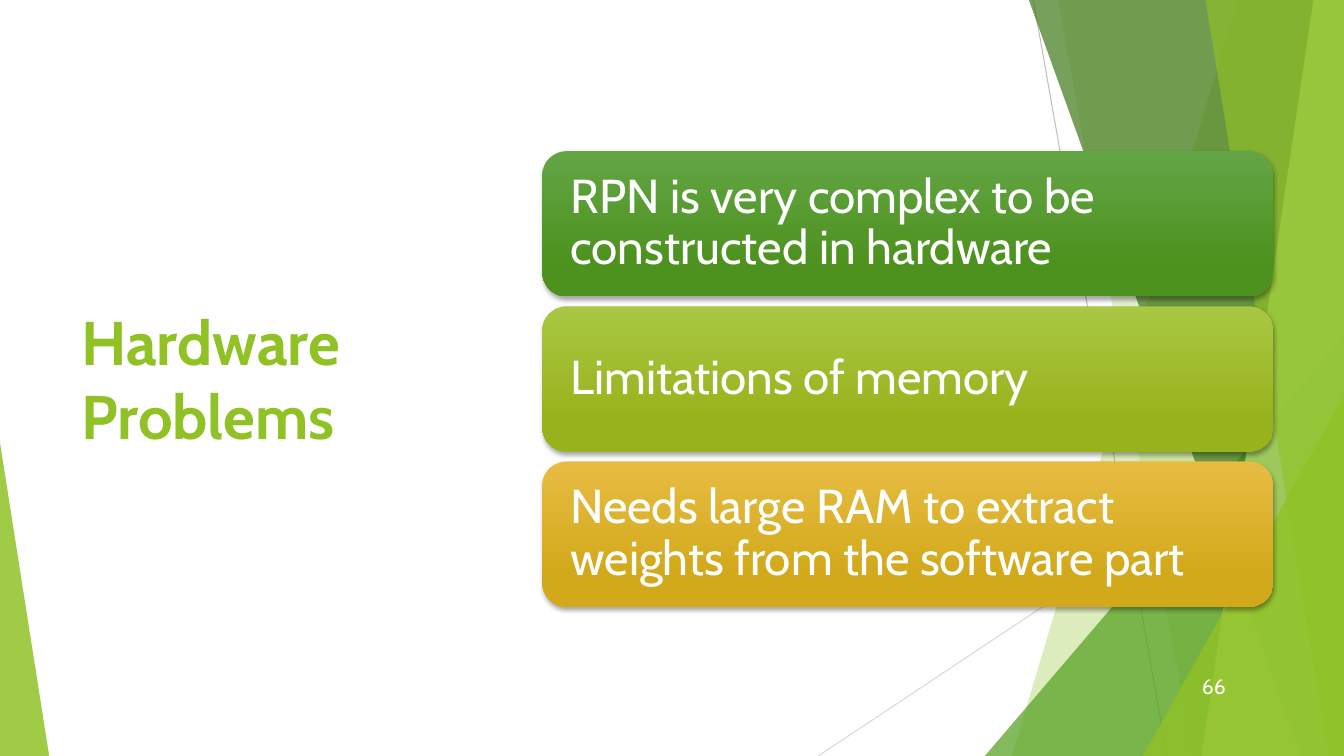
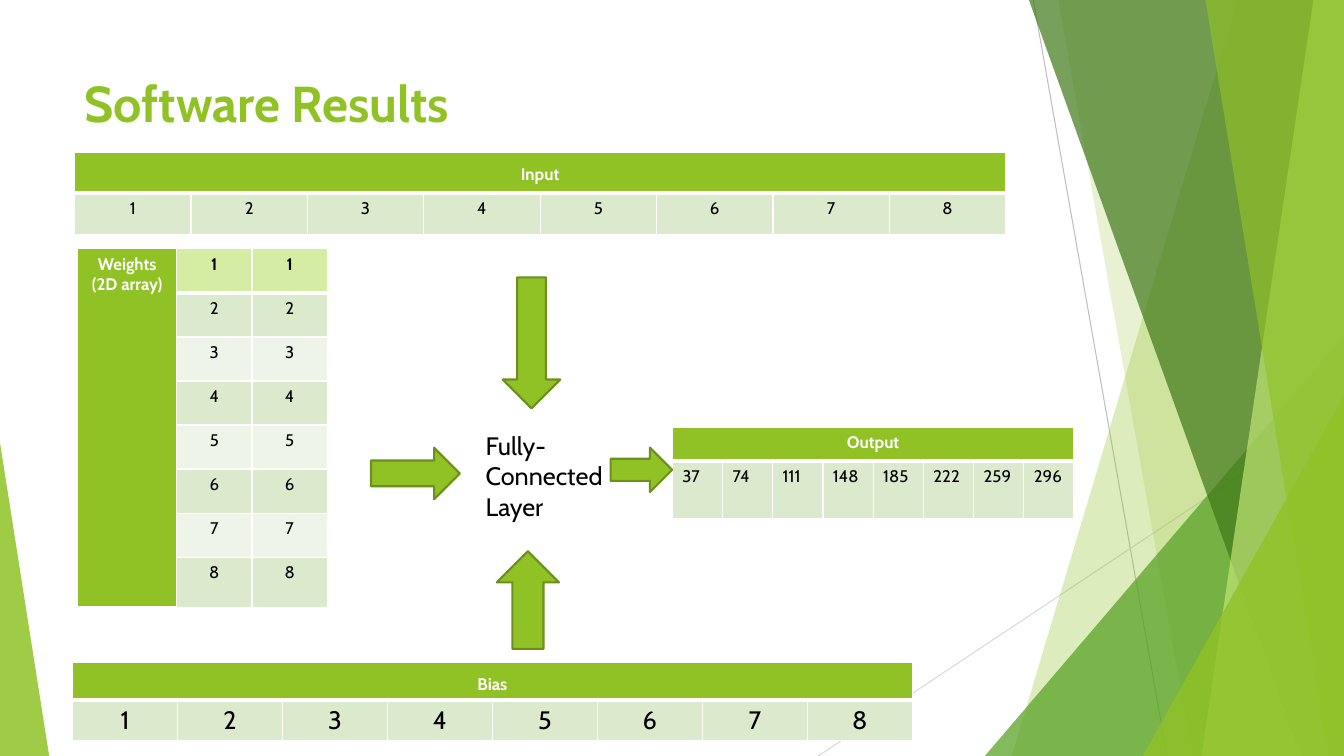
"""Builds two slides on the hardware problems and software results of a network layer."""
from lxml import etree
from pptx import Presentation
from pptx import util as u
from pptx.dml import color
from pptx.enum import shapes, text
from pptx.oxml import ns

WIDTH, HEIGHT = 33.87, 19.05
COLORS = {
    "white": "FFFFFF", "black": "000000", "lime": "90C226", "green": "54A021",
    "forest": "3F7819", "pale": "C0E474", "outline": "6B901C",
    "hairline": "BFBFBF", "faint": "D9D9D9",
    "head_tint": "D5EDA2", "row_dark": "DBE9CD", "row_light": "EEF4E8",
    "green_top": "63A545", "green_low": "4D921E",
    "lime_top": "AAC744", "lime_low": "97B31C",
    "gold_top": "E7BC43", "gold_low": "D2A91B",
}
BANDS = [
    ("sheet", 31.19, 25.5, "lime", 30),
    ("sheet", 26.67, 30.05, "lime", 20),
    ("wedge", 24.82, 8.46, "green", 72),
    ("sheet", 25.93, 32.79, "forest", 70),
    ("sheet", 33.1, 30.28, "pale", 70),
    ("sheet", 30.38, 33.48, "lime", 65),
    ("wedge", 28.8, 9.98, "lime", 80),
]
SHAPE = shapes.MSO_SHAPE
ALIGN = text.PP_ALIGN
ANCHOR = text.MSO_ANCHOR


def rgb(name):
    return color.RGBColor.from_string(COLORS[name])


def add_xml(parent, tag, **attributes):
    return etree.SubElement(parent, ns.qn(tag), attributes)


class Deck:
    def __init__(self, font="Cabin"):
        self.font = font
        self.prs = Presentation()
        self.prs.slide_width, self.prs.slide_height = u.Cm(WIDTH), u.Cm(HEIGHT)
        self.slide = None

    def new_slide(self):
        self.slide = self.prs.slides.add_slide(self.prs.slide_layouts[6])
        self.line(26.04, 0, 29.41, HEIGHT, "hairline")
        self.line(WIDTH, 10.24, 20.62, HEIGHT, "faint")
        for kind, first, second, fill, opacity in BANDS:
            if kind == "sheet":
                self.sheet(first, second, fill, opacity)
            else:
                self.wedge(first, second, WIDTH - first, 1, fill, opacity)
        self.wedge(0, 11.15, 1.24, 0, "lime", 85)

    def line(self, x1, y1, x2, y2, stroke):
        line = self.slide.shapes.add_connector(
            shapes.MSO_CONNECTOR.STRAIGHT, *map(u.Cm, (x1, y1, x2, y2)))
        line.line.color.rgb = rgb(stroke)
        line.line.width = u.Pt(0.75)
        add_xml(line._element.spPr, "a:effectLst")

    def tint(self, shape, fill, opacity=100):
        shape.shadow.inherit = False
        shape.line.fill.background()
        shape.fill.solid()
        shape.fill.fore_color.rgb = rgb(fill)
        if opacity < 100:
            tone = next(shape._element.spPr.iter(ns.qn("a:srgbClr")))
            add_xml(tone, "a:alpha", val=str(opacity * 1000))

    def sheet(self, top, bottom, fill, opacity):
        outline = self.slide.shapes.build_freeform(u.Cm(top), 0)
        corners = [(WIDTH, 0), (WIDTH, HEIGHT), (bottom, HEIGHT)]
        outline.add_line_segments([(u.Cm(x), u.Cm(y)) for x, y in corners])
        self.tint(outline.convert_to_shape(), fill, opacity)

    def preset(self, kind, *place):
        return self.slide.shapes.add_shape(kind, *map(u.Cm, place))

    def wedge(self, left, top, width, apex, fill, opacity):
        wedge = self.preset(SHAPE.ISOSCELES_TRIANGLE, left, top, width, HEIGHT - top)
        wedge.adjustments[0] = apex
        self.tint(wedge, fill, opacity)

    def arrow(self, kind, *place):
        arrow = self.preset(kind, *place)
        self.tint(arrow, "lime")
        arrow.line.color.rgb = rgb("outline")
        arrow.line.width = u.Pt(1.5)

    def set_words(self, frame, words, size, ink, bold=False, align=ALIGN.LEFT):
        frame.text = words
        frame.word_wrap = True
        for paragraph in frame.paragraphs:
            paragraph.alignment = align
            for run in paragraph.runs:
                run.font.name = self.font
                run.font.size = u.Pt(size)
                run.font.bold = bold
                run.font.color.rgb = rgb(ink)

    def label(self, words, place, size, ink="black", bold=False,
              align=ALIGN.LEFT, anchor=ANCHOR.TOP):
        frame = self.slide.shapes.add_textbox(*map(u.Cm, place)).text_frame
        self.set_words(frame, words, size, ink, bold, align)
        frame.vertical_anchor = anchor

    def title(self, words, place, size, anchor=ANCHOR.TOP):
        self.label(words, place, size, "lime", True, anchor=anchor)

    def card(self, words, hue, *place):
        card = self.preset(SHAPE.ROUNDED_RECTANGLE, *place)
        self.tint(card, hue + "_top")
        card.fill.gradient()
        card.fill.gradient_angle = 270
        for stop, position, shade in zip(card.fill.gradient_stops, (0, 0.78), ("_top", "_low")):
            stop.color.rgb = rgb(hue + shade)
            stop.position = position
        effects = card._element.spPr.find(ns.qn("a:effectLst"))
        shadow = add_xml(effects, "a:outerShdw", blurRad=str(u.Pt(3)), dist=str(u.Pt(2)),
                         dir="5400000", rotWithShape="0")
        add_xml(add_xml(shadow, "a:srgbClr", val=COLORS["black"]), "a:alpha", val="35000")
        frame = card.text_frame
        self.set_words(frame, words, 34, "white")
        frame.paragraphs[0].line_spacing = 0.9
        frame.vertical_anchor = ANCHOR.MIDDLE
        frame.margin_left = frame.margin_right = u.Cm(0.53)

    def grid(self, left, top, widths, heights):
        table = self.slide.shapes.add_table(
            len(heights), len(widths), u.Cm(left), u.Cm(top),
            u.Cm(sum(widths)), u.Cm(sum(heights))).table
        for column, width in zip(table.columns, widths):
            column.width = u.Cm(width)
        for row, height in zip(table.rows, heights):
            row.height = u.Cm(height)
        return table

    def cell(self, cell, words, fill, size=12, head=False, ink="black", align=ALIGN.CENTER):
        self.set_words(cell.text_frame, words, size, ink, head, align)
        for side in "LRTB":
            weight = 3 if head and side == "B" else 1
            edge = add_xml(cell._tc.get_or_add_tcPr(), "a:ln" + side, w=str(u.Pt(weight)))
            add_xml(add_xml(edge, "a:solidFill"), "a:srgbClr", val=COLORS["white"])
        cell.fill.solid()
        cell.fill.fore_color.rgb = rgb(fill)

    def strip(self, caption, left, top, width, heights, values,
              size=12, align=ALIGN.CENTER, drop=0.13):
        count = len(values)
        table = self.grid(left, top, [width / count] * count, heights)
        for index, value in enumerate(values):
            self.cell(table.cell(0, index), "" if index else caption, "lime", head=True, ink="white")
            self.cell(table.cell(1, index), str(value), "row_dark", size, align=align)
        table.cell(0, 0).margin_top = u.Cm(drop)
        table.cell(0, 0).merge(table.cell(0, count - 1))

    def weights(self, caption, left, top, values):
        table = self.grid(left, top, [2.49, 1.9, 1.9], [1.11] * len(values))
        for row, value in enumerate(values):
            head = row == 0
            fill = "head_tint" if head else ("row_light", "row_dark")[row % 2]
            self.cell(table.cell(row, 0), caption if head else "", "lime", head=True, ink="white")
            for column in (1, 2):
                self.cell(table.cell(row, column), str(value), fill, head=head)
        table.cell(0, 0).merge(table.cell(len(values) - 1, 0))


def hardware_problems(deck):
    deck.new_slide()
    deck.title("Hardware Problems", (1.8, 3.84, 9.86, 11.38), 44, ANCHOR.MIDDLE)
    deck.label("66", (29.24, 16.79, 1.9, 1.02), 15, "white",
               align=ALIGN.RIGHT, anchor=ANCHOR.MIDDLE)
    problems = [
        ("RPN is very complex to be constructed in hardware", "green"),
        ("Limitations of memory", "lime"),
        ("Needs large RAM to extract weights from the software part", "gold"),
    ]
    for index, (problem, hue) in enumerate(problems):
        deck.card(problem, hue, 13.67, 3.81 + 3.91 * index, 18.42, 3.66)


def software_results(deck):
    deck.new_slide()
    deck.title("Software Results", (1.88, 1.7, 23.88, 3.66), 36)
    values = range(1, 9)
    deck.strip("Input", 1.88, 3.84, 23.47, [1.03, 1.03], values, drop=0.3)
    deck.weights("Weights\n(2D array)", 1.96, 6.27, values)
    deck.strip("Output", 16.94, 10.77, 10.13, [0.84, 1.45],
               [37 * value for value in values], align=ALIGN.LEFT)
    deck.strip("Bias", 1.83, 16.69, 21.16, [0.94, 1.03], values, size=18, drop=0.3)
    deck.label("Fully-Connected\nLayer", (11.99, 10.72, 3.84, 2.57), 18)
    deck.arrow(SHAPE.DOWN_ARROW, 12.67, 6.99, 1.45, 3.3)
    deck.arrow(SHAPE.RIGHT_ARROW, 9.35, 11.28, 2.24, 1.3)
    deck.arrow(SHAPE.RIGHT_ARROW, 15.39, 11.28, 1.55, 1.12)
    deck.arrow(SHAPE.UP_ARROW, 12.52, 13.89, 1.57, 2.46)


def main():
    deck = Deck()
    hardware_problems(deck)
    software_results(deck)
    deck.prs.save("out.pptx")


if __name__ == "__main__":
    main()
